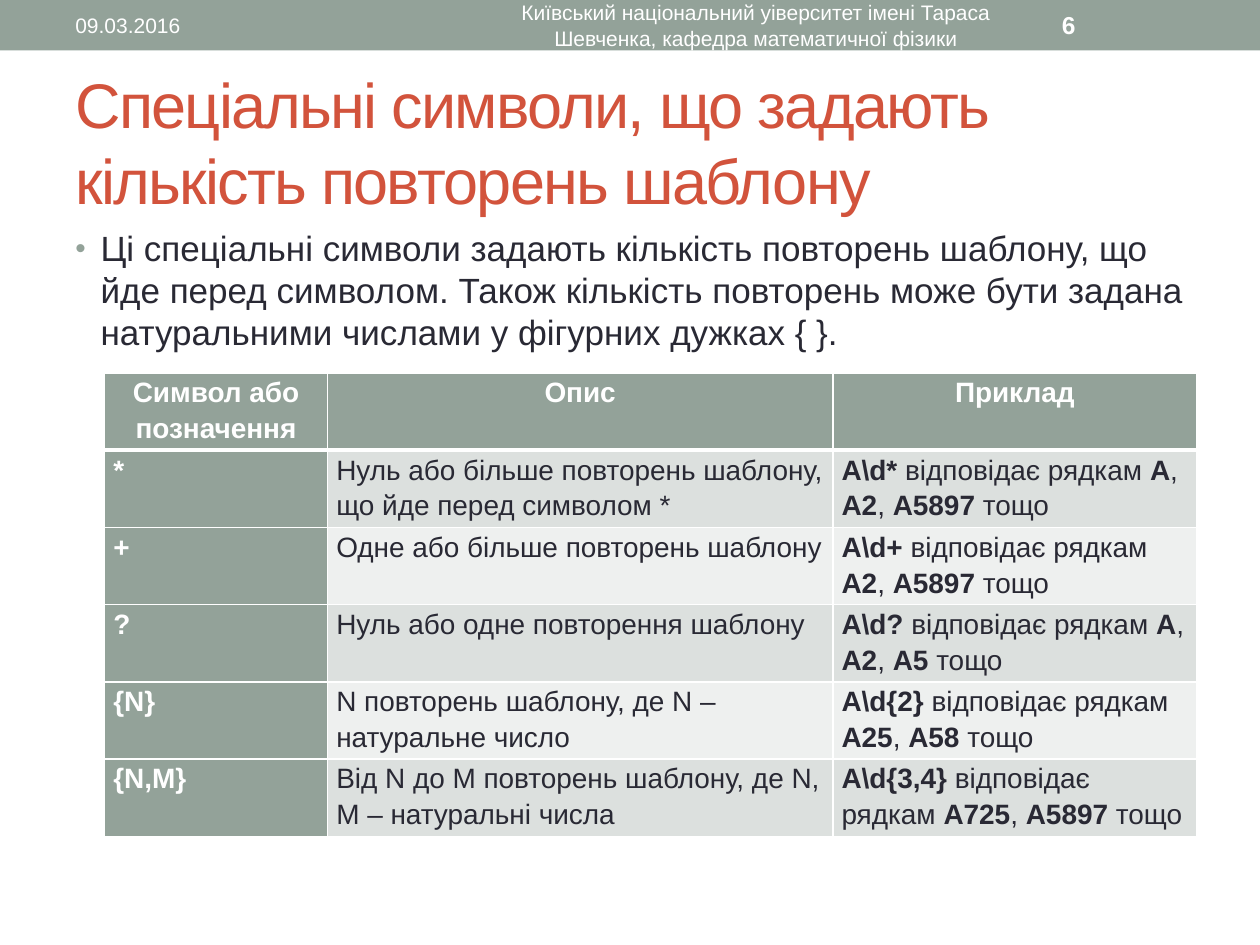
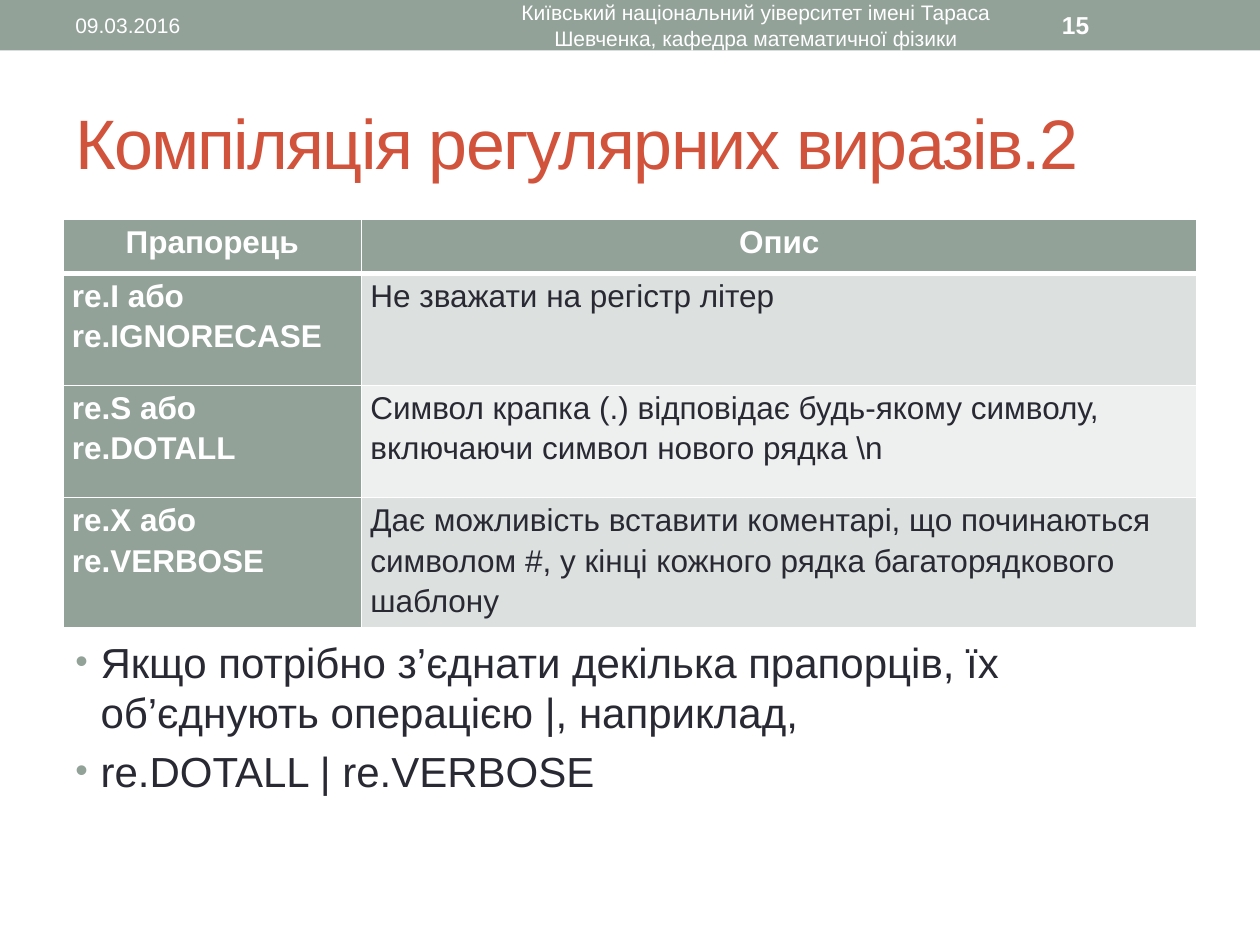
from typing import NamedTuple

from lxml.etree import SubElement
from pptx import Presentation
from pptx.dml.color import RGBColor
from pptx.enum.shapes import MSO_SHAPE
from pptx.enum.text import MSO_ANCHOR, PP_ALIGN
from pptx.oxml.ns import qn
from pptx.util import Emu, Pt

PX = 9144  # 100 px to the inch
FONT = "Arial"
WHITE = RGBColor(0xFF, 0xFF, 0xFF)
SAGE = RGBColor(0x93, 0xA2, 0x99)
RUST = RGBColor(0xD2, 0x53, 0x3C)
INK = RGBColor(0x29, 0x29, 0x34)
BANDS = (RGBColor(0xDC, 0xE0, 0xDE), RGBColor(0xEE, 0xF0, 0xEF))

DATE = "09.03.2016"
SCHOOL = ("Київський національний уіверситет імені Тараса Шевченка, "
          "кафедра математичної фізики")


class Box(NamedTuple):
    left: int
    top: int
    width: int
    height: int

    def emu(self) -> list[Emu]:
        return [px(side) for side in self]


class Grid(NamedTuple):
    left: int
    top: int
    cols: list[int]
    rows: list[int]
    size: int
    cells: list[list[str]]


class Page(NamedTuple):
    number: int
    title: str
    size: int
    body: str
    body_box: Box
    body_size: int
    grid: Grid


PAGES = [
    Page(
        6, "Спеціальні символи, що задають кількість повторень шаблону", 36,
        "Ці спеціальні символи задають кількість повторень шаблону, що йде "
        "перед символом. Також кількість повторень може бути задана "
        "натуральними числами у фігурних дужках { }.",
        Box(50, 175, 900, 533), 20,
        Grid(83, 296, [177, 401, 289], [60] * 6, 16, [
            ["Символ або позначення", "Опис", "Приклад"],
            ["*", "Нуль або більше повторень шаблону, що йде перед символом *",
             r"`А\d* `відповідає рядкам `А`, `А2`, `А5897` тощо"],
            ["+", "Одне або більше повторень шаблону",
             r"`А\d+` відповідає рядкам `А2`, `А5897` тощо"],
            ["?", "Нуль або одне повторення шаблону",
             r"`А\d? `відповідає рядкам `А`, `А2`, `А5` тощо"],
            ["{N}", "N повторень шаблону, де N – натуральне число",
             r"`А\d{2} `відповідає рядкам `А25`, `А58` тощо"],
            ["{N,M}", "Від N до M повторень шаблону, де N, M – натуральні числа",
             r"`А\d{3,4} `відповідає рядкам `А725`, `А5897` тощо"],
        ]),
    ),
    Page(
        15, "Компіляція регулярних виразів.2", 40,
        "Якщо потрібно з’єднати декілька прапорців, їх об’єднують операцією |, "
        "наприклад,\nre.DOTALL | re.VERBOSE",
        Box(50, 500, 900, 208), 24,
        Grid(50, 174, [237, 663], [43] + [89] * 3, 18, [
            ["Прапорець", "Опис"],
            ["re.I або\nre.IGNORECASE", "Не зважати на регістр літер"],
            ["re.S або\nre.DOTALL",
             "Символ крапка (.) відповідає будь-якому символу, "
             r"включаючи символ нового рядка \n"],
            ["re.X або\nre.VERBOSE",
             "Дає можливість вставити коментарі, що починаються символом #, "
             "у кінці кожного рядка багаторядкового шаблону"],
        ]),
    ),
]


def px(count: int) -> Emu:
    return Emu(count * PX)


def write(frame, text: str, *, size: int, color=INK, bold=False, align=None,
          leading=None, track=0, bullet=False) -> None:
    """Fill a frame: a line break starts a paragraph, backticks flip bold."""
    frame.word_wrap = True
    for row, line in enumerate(text.split("\n")):
        para = frame.add_paragraph() if row else frame.paragraphs[0]
        para.alignment = align
        para.line_spacing = leading
        if bullet:
            para.space_before = Pt(size * 0.2)
            dot(para)
        for turn, part in enumerate(line.split("`")):
            if not part:
                continue
            run = para.add_run()
            run.text = part
            font = run.font
            font.name, font.size = FONT, Pt(size)
            font.bold = bold or turn % 2 == 1
            font.color.rgb = color
            if track:
                run._r.get_or_add_rPr().set("spc", str(track * 100))


def dot(para) -> None:
    """Give a paragraph a hanging round bullet."""
    props = para._p.get_or_add_pPr()
    props.set("marL", str(px(20)))
    props.set("indent", str(-px(20)))
    tint = SubElement(props, qn("a:buClr"))
    SubElement(tint, qn("a:srgbClr"), val=str(SAGE))
    SubElement(props, qn("a:buSzPct"), val="85000")
    SubElement(props, qn("a:buFont"), typeface=FONT)
    SubElement(props, qn("a:buChar"), char="•")


def label(slide, box: Box, text: str, anchor=MSO_ANCHOR.MIDDLE, **style) -> None:
    frame = slide.shapes.add_textbox(*box.emu()).text_frame
    frame.vertical_anchor = anchor
    write(frame, text, **style)


def edge(cell, side: str, width: int) -> None:
    line = SubElement(cell._tc.get_or_add_tcPr(), qn(f"a:ln{side}"),
                      w=str(Pt(width)))
    fill = SubElement(line, qn("a:solidFill"))
    SubElement(fill, qn("a:srgbClr"), val=str(WHITE))


def draw_grid(slide, grid: Grid) -> None:
    box = Box(grid.left, grid.top, sum(grid.cols), sum(grid.rows))
    table = slide.shapes.add_table(
        len(grid.rows), len(grid.cols), *box.emu()).table
    table.first_col = True
    for col, width in zip(table.columns, grid.cols):
        col.width = px(width)
    for row, height in zip(table.rows, grid.rows):
        row.height = px(height)
    for r, texts in enumerate(grid.cells):
        for c, text in enumerate(texts):
            cell = table.cell(r, c)
            cell.margin_left = cell.margin_right = px(7)
            cell.margin_top = cell.margin_bottom = 0
            for side, heavy in (("L", False), ("R", False),
                                ("T", r == 1), ("B", r == 0)):
                edge(cell, side, 3 if heavy else 1)
            head = r == 0 or c == 0
            cell.fill.solid()
            cell.fill.fore_color.rgb = SAGE if head else BANDS[(r - 1) % 2]
            write(cell.text_frame, text, size=grid.size, bold=head,
                  color=WHITE if head else INK, leading=1.15,
                  align=PP_ALIGN.CENTER if r == 0 else None)


def draw_band(slide, number: int) -> None:
    band = slide.shapes.add_shape(MSO_SHAPE.RECTANGLE, *Box(0, 0, 1000, 40).emu())
    band.shadow.inherit = False
    band.fill.solid()
    band.fill.fore_color.rgb = SAGE
    band.line.fill.background()
    label(slide, Box(50, 2, 317, 36), DATE, size=12, color=WHITE)
    label(slide, Box(375, 2, 450, 36), SCHOOL, size=12, color=WHITE,
          align=PP_ALIGN.CENTER)
    label(slide, Box(833, 2, 117, 36), str(number), size=14, color=WHITE,
          bold=True)


def main() -> None:
    deck = Presentation()
    deck.slide_width, deck.slide_height = px(1000), px(750)
    for page in PAGES:
        slide = deck.slides.add_slide(deck.slide_layouts[6])
        draw_band(slide, page.number)
        label(slide, Box(50, 58, 900, 108), page.title, size=page.size,
              color=RUST, track=-1)
        label(slide, page.body_box, page.body, MSO_ANCHOR.TOP,
              size=page.body_size, bullet=True)
        draw_grid(slide, page.grid)
    deck.save("out.pptx")


if __name__ == "__main__":
    main()
